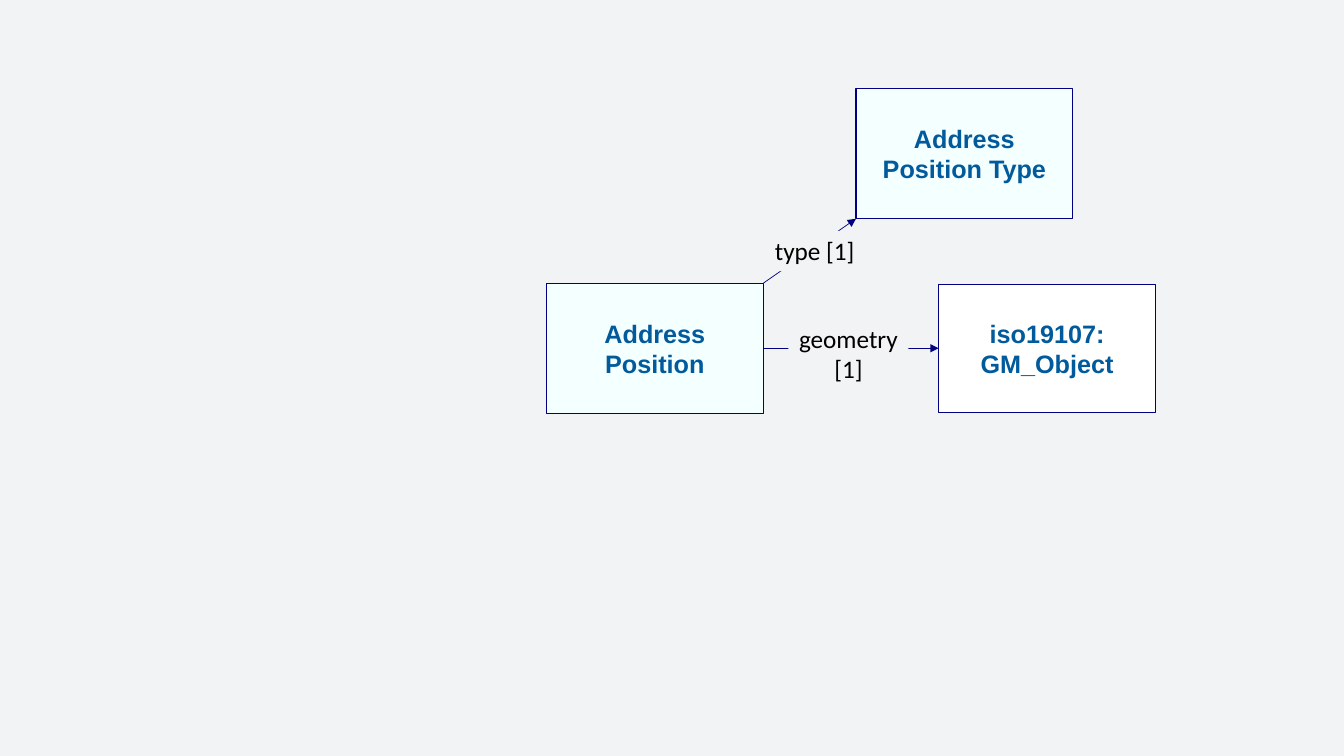
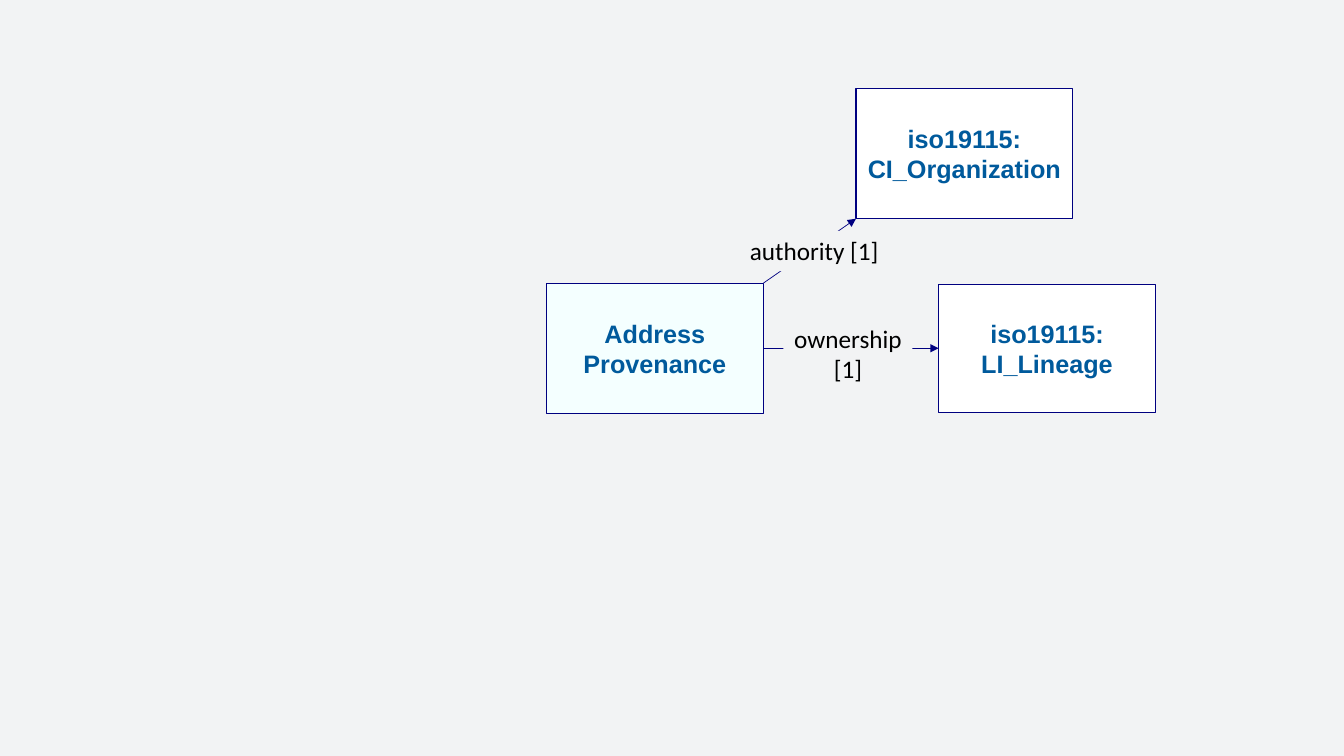
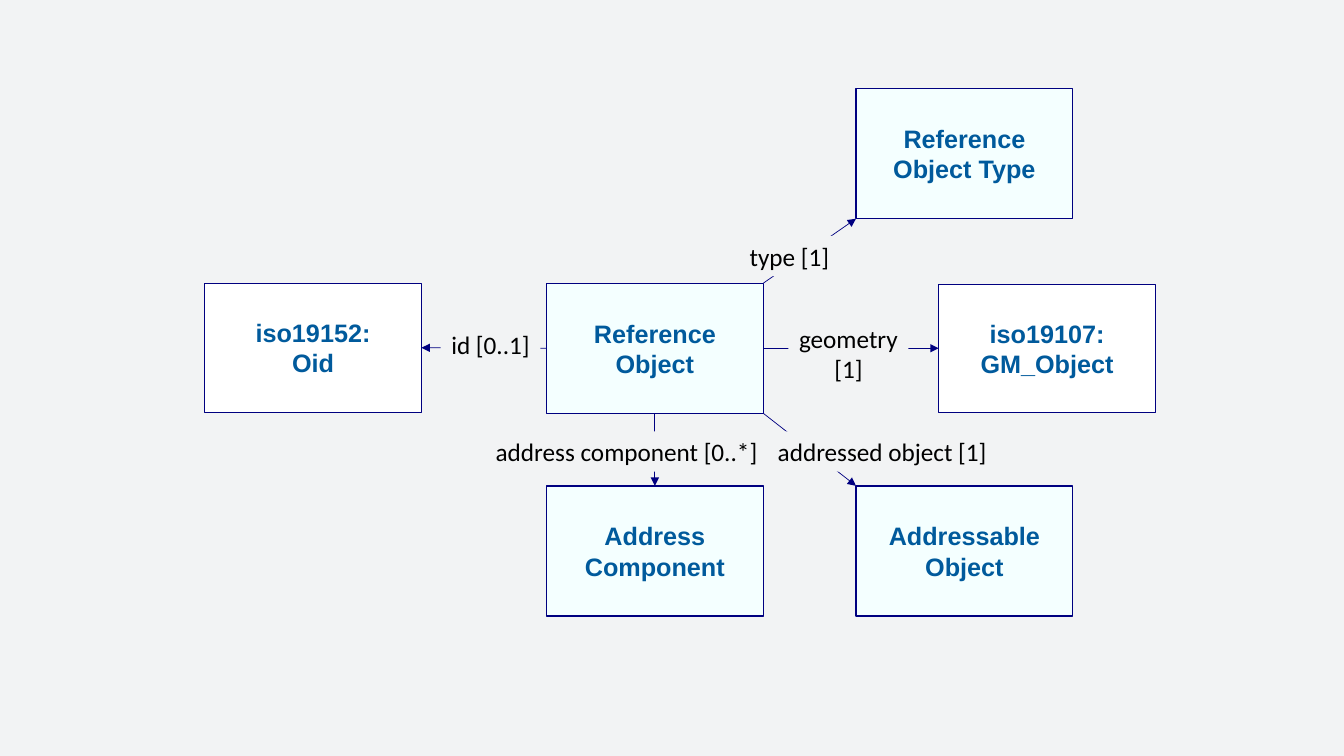
"""Build three concept diagrams: a central class linked to its related classes."""
from lxml.etree import SubElement
from pptx import Presentation
from pptx.dml.color import RGBColor
from pptx.enum.shapes import MSO_CONNECTOR, MSO_SHAPE
from pptx.enum.text import MSO_ANCHOR, MSO_AUTO_SIZE, PP_ALIGN
from pptx.oxml.ns import qn
from pptx.util import Inches, Pt

PAPER, OWN, EXTERNAL = "F2F3F4", "F4FFFF", "FFFFFF"
NAVY, BLUE, BLACK = "000080", "005A9C", "000000"

# Each slide: central class, then (slot, class, fill, label, label left, top, width)
DIAGRAMS = [
    ("Address Position", [
        ("upper right", "Address\vPosition Type", OWN, "type [1]", 7.58, 2.29, 1),
        ("right", "iso19107: GM_Object", EXTERNAL, "geometry\v[1]", 7.82, 3.16, 1.19),
    ]),
    ("Address Provenance", [
        ("upper right", "iso19115: CI_Organization", EXTERNAL, "authority [1]", 7.33, 2.29, 1.49),
        ("right", "iso19115: LI_Lineage", EXTERNAL, "ownership\v[1]", 7.77, 3.16, 1.28),
    ]),
    ("Reference Object", [
        ("lower right", "Addressable Object", OWN, "addressed object [1]", 7.6, 4.28, 2.3),
        ("right", "iso19107: GM_Object", EXTERNAL, "geometry\v[1]", 7.82, 3.16, 1.19),
        ("left", "iso19152:\vOid", EXTERNAL, "id [0..1]", 4.37, 3.22, 0.99),
        ("upper right", "Reference Object Type", OWN, "type [1]", 7.33, 2.34, 1),
        ("below", "Address Component", OWN, "address component [0..*]", 4.8, 4.28, 2.83),
    ]),
]

BOX_W, BOX_H = 2.15, 1.29
CENTRE = (5.42, 2.81, BOX_W, BOX_H)
# Slot: box, then where the arrow leaves the centre and meets the box (fractions)
SLOTS = {
    "upper right": ((8.49, 0.88, BOX_W, BOX_H), (1, 0), (0, 1)),
    "right": ((9.31, 2.82, BOX_W, 1.27), (1, 0.5), (0, 0.5)),
    "lower right": ((8.49, 4.82, BOX_W, BOX_H), (1, 1), (0, 0)),
    "below": ((5.42, 4.82, BOX_W, BOX_H), (0.5, 1), (0.5, 0)),
    "left": ((2.03, 2.81, BOX_W, 1.28), (0, 0.5), (1, 0.5)),
}


def rgb(value):
    return RGBColor.from_string(value)


def add_rect(s, at, fill, text, font, color):
    sp = s.shapes.add_shape(MSO_SHAPE.RECTANGLE, *map(Inches, at))
    sp.shadow.inherit = False
    sp.fill.solid()
    sp.fill.fore_color.rgb = rgb(fill)
    p = sp.text_frame.paragraphs[0]
    p.text = text
    p.alignment = PP_ALIGN.CENTER
    p.font.name, p.font.size = font, Pt(18)
    p.font.color.rgb = rgb(color)
    return sp


def add_class(s, at, fill, text):
    sp = add_rect(s, at, fill, text, "Arial", BLUE)
    sp.line.color.rgb = rgb(NAVY)
    sp.line.width = Pt(1)
    tf = sp.text_frame
    tf.word_wrap = True
    tf.vertical_anchor = MSO_ANCHOR.MIDDLE
    tf.paragraphs[0].font.bold = True


def add_label(s, left, top, width, text):
    height = 0.71 if "\v" in text else 0.4
    sp = add_rect(s, (left, top, width, height), PAPER, text, "Calibri", BLACK)
    sp.line.fill.background()
    tf = sp.text_frame
    tf.word_wrap = False
    tf.auto_size = MSO_AUTO_SIZE.SHAPE_TO_FIT_TEXT
    tf.vertical_anchor = MSO_ANCHOR.TOP


def point(box, fraction):
    left, top, width, height = box
    fx, fy = fraction
    return Inches(left + fx * width), Inches(top + fy * height)


def add_arrow(s, start, end):
    line = s.shapes.add_connector(MSO_CONNECTOR.STRAIGHT, *start, *end)
    line.line.color.rgb = rgb(NAVY)
    line.line.width = Pt(0.5)
    SubElement(line.line._get_or_add_ln(), qn("a:tailEnd"), type="triangle")
    SubElement(line._element.spPr, qn("a:effectLst"))


prs = Presentation()
prs.slide_width, prs.slide_height = Inches(13.33), Inches(7.5)
background = prs.slide_master.background.fill
background.solid()
background.fore_color.rgb = rgb(PAPER)

for centre, relations in DIAGRAMS:
    s = prs.slides.add_slide(prs.slide_layouts[6])
    add_class(s, CENTRE, OWN, centre)
    for slot, name, fill, label, left, top, width in relations:
        box, leave, meet = SLOTS[slot]
        add_class(s, box, fill, name)
        add_arrow(s, point(CENTRE, leave), point(box, meet))
        add_label(s, left, top, width, label)

prs.save("out.pptx")
